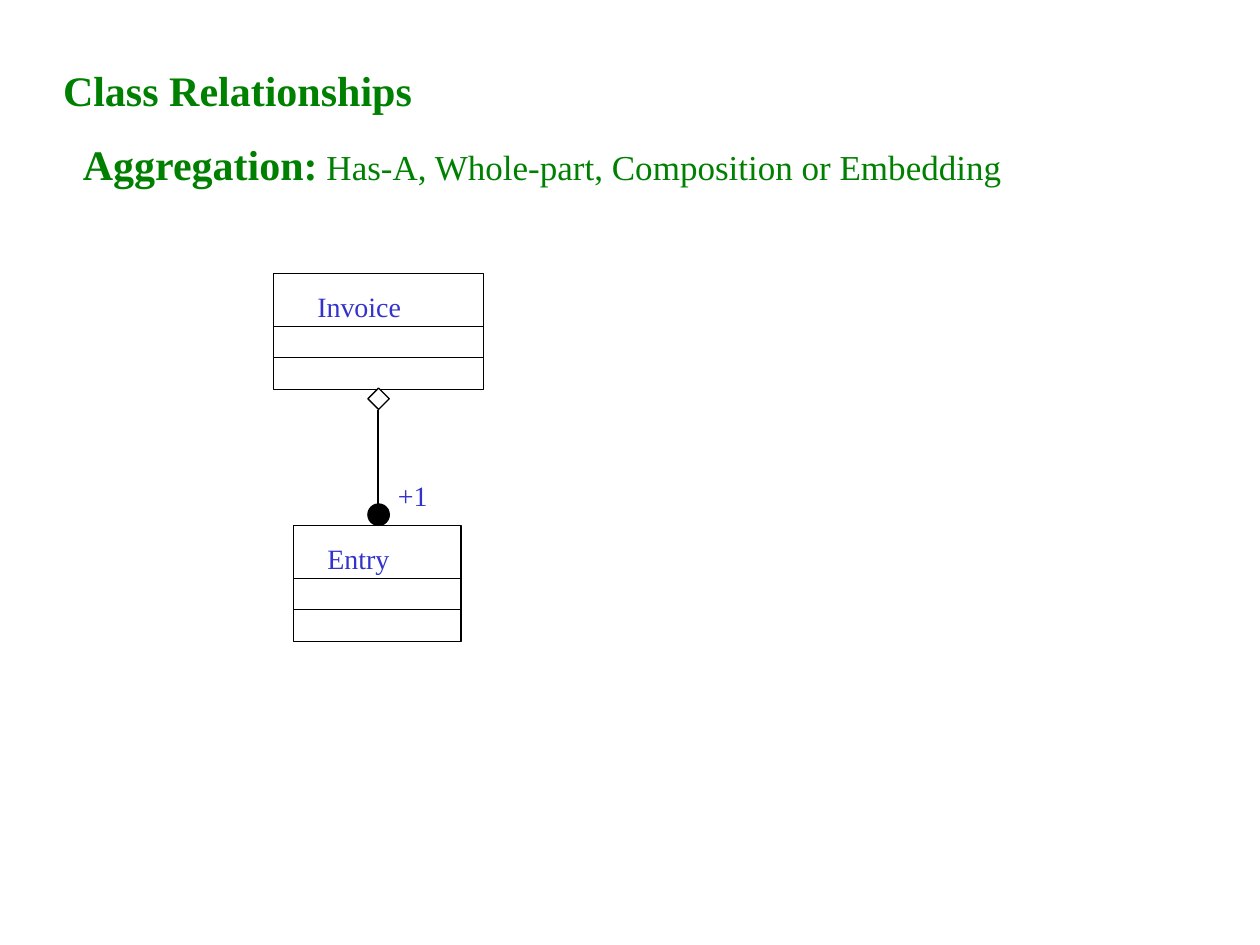
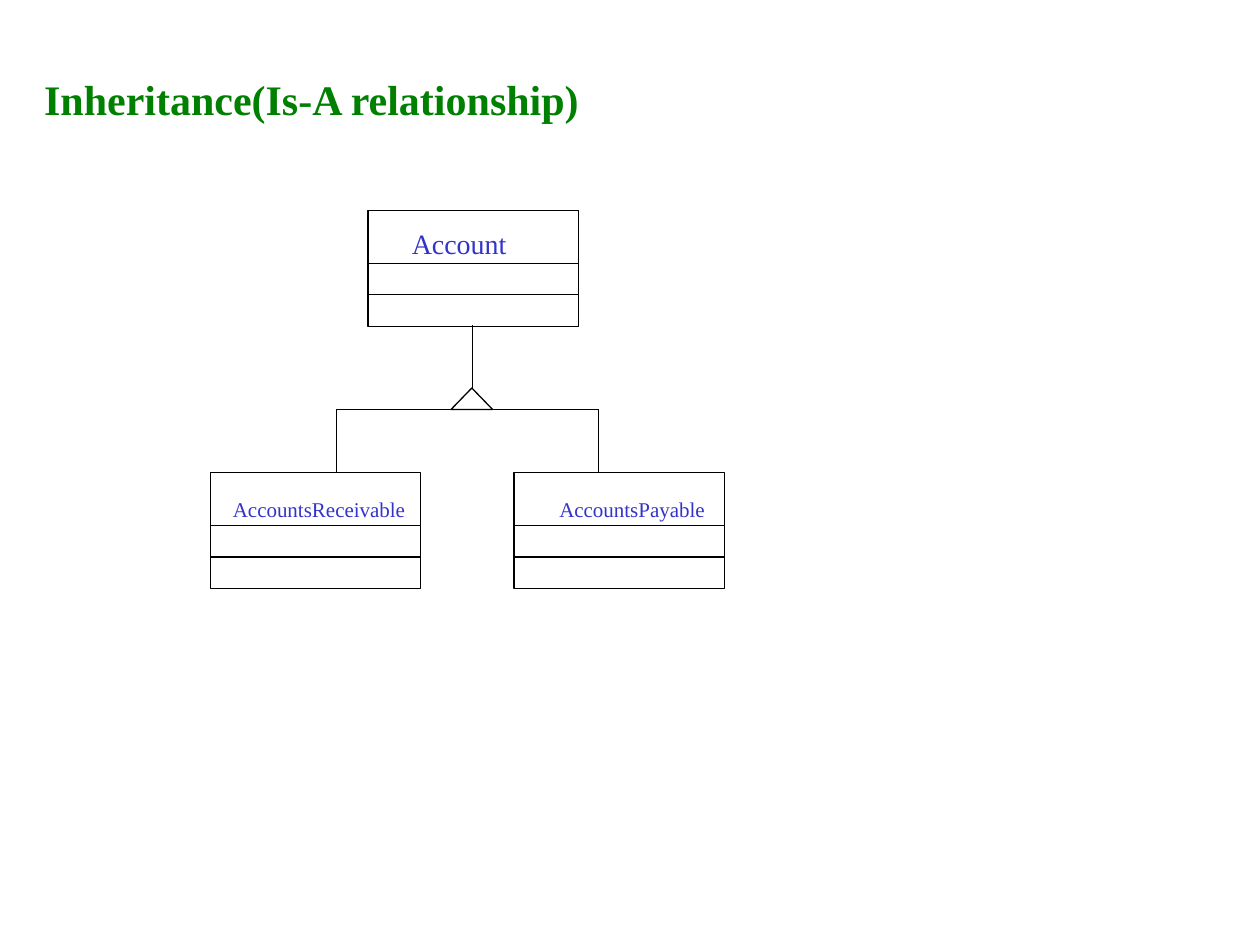
import pptx
import pptx.util
import pptx.dml.color
import pptx.enum.shapes
import pptx.enum.text
import pptx.oxml.xmlchemy

Inches, Pt = pptx.util.Inches, pptx.util.Pt
Shapes = pptx.enum.shapes.MSO_SHAPE

FONT = "Times New Roman"
GREEN, BLUE, BLACK, WHITE = "008000", "3333CC", "000000", "FFFFFF"
CLASS_HEIGHT = 0.92
DIVIDERS = (0.42, 0.67)

# left, top, width of the class box; then name, size, and the label's place and size
DIAGRAMS = [
    {
        "title": ("Class Relationships", 0.4, 0.46, 2.97),
        "subtitle": [("Aggregation:", 24, True),
                     (" Has-A, Whole-part, Composition or Embedding", 20, False)],
        "classes": [
            (2.17, 2.17, 1.67, "Invoice", 16, (2.42, 2.25, 0.86, 0.37)),
            (2.33, 4.17, 1.33, "Entry", 16, (2.5, 4.25, 0.69, 0.37)),
        ],
        "lines": [(3, 3.25, 3, 4)],
        "symbols": [(Shapes.DIAMOND, 2.92, 3.08, 0.17, 0.17, WHITE),
                    (Shapes.OVAL, 2.92, 4, 0.17, 0.17, BLACK)],
        "multiplicity": ("+1", 16, (3.06, 3.75, 0.43, 0.37)),
    },
    {
        "title": ("Inheritance(Is-A relationship)", 0.25, 0.53, 4.47),
        "classes": [
            (2.92, 1.67, 1.67, "Account", 16, (3.17, 1.75, 0.95, 0.37)),
            (1.67, 3.75, 1.67, "AccountsReceivable", 12, (1.75, 3.89, 1.57, 0.3)),
            (4.08, 3.75, 1.67, "AccountsPayable", 12, (4.34, 3.89, 1.35, 0.3)),
        ],
        "lines": [(3.75, 3.08, 3.75, 2.58), (2.67, 3.25, 4.75, 3.25),
                  (2.67, 3.25, 2.67, 3.75), (4.75, 3.25, 4.75, 3.75)],
        "symbols": [(Shapes.ISOSCELES_TRIANGLE, 3.58, 3.08, 0.33, 0.17, WHITE)],
    },
]


def color(value):
    """Turn a hex string into a colour."""
    return pptx.dml.color.RGBColor.from_string(value)


def style_font(font, size, value, bold=False):
    """Give a font the shared face with a size, colour and weight."""
    font.name, font.size, font.bold = FONT, Pt(size), bold
    font.color.rgb = color(value)


def prepare_frame(shape):
    """Make a text frame start at its top left without wrapping."""
    frame = shape.text_frame
    frame.word_wrap = False
    frame.auto_size = pptx.enum.text.MSO_AUTO_SIZE.NONE
    frame.vertical_anchor = pptx.enum.text.MSO_ANCHOR.TOP
    paragraph = frame.paragraphs[0]
    paragraph.alignment = pptx.enum.text.PP_ALIGN.LEFT
    return paragraph


def add_title(slide, text, left, top, width):
    """Place and format the title placeholder."""
    title = slide.shapes.title
    title.left, title.top = Inches(left), Inches(top)
    title.width, title.height = Inches(width), Inches(0.5)
    paragraph = prepare_frame(title)
    paragraph.text = text
    style_font(paragraph.font, 24, GREEN, True)


def add_subtitle(slide, parts):
    """Add the green line of mixed weights below the title."""
    box = slide.shapes.add_textbox(*map(Inches, (0.56, 1.05, 7.5, 0.5)))
    paragraph = prepare_frame(box)
    for text, size, bold in parts:
        run = paragraph.add_run()
        run.text = text
        style_font(run.font, size, GREEN, bold)


def add_label(slide, text, size, place):
    """Add a blue label."""
    paragraph = prepare_frame(slide.shapes.add_textbox(*map(Inches, place)))
    paragraph.text = text
    style_font(paragraph.font, size, BLUE)


def add_outlined(slide, kind, left, top, width, height, fill):
    """Add a filled shape with a thin black outline."""
    shape = slide.shapes.add_shape(kind, *map(Inches, (left, top, width, height)))
    shape.shadow.inherit = False
    shape.fill.solid()
    shape.fill.fore_color.rgb = color(fill)
    shape.line.color.rgb = color(BLACK)
    shape.line.width = Pt(0.75)


def add_line(slide, *ends):
    """Add a thin black line between two points."""
    line = slide.shapes.add_connector(
        pptx.enum.shapes.MSO_CONNECTOR.STRAIGHT, *map(Inches, ends))
    line.line.color.rgb = color(BLACK)
    line.line.width = Pt(0.75)
    effects = pptx.oxml.xmlchemy.OxmlElement("a:effectLst")
    line._element.spPr.append(effects)


def add_class(slide, left, top, width, name, size, place):
    """Add a class box with its two dividers and its name."""
    add_outlined(slide, Shapes.RECTANGLE, left, top, width, CLASS_HEIGHT, WHITE)
    for offset in DIVIDERS:
        add_line(slide, left, top + offset, left + width, top + offset)
    add_label(slide, name, size, place)


def main():
    """Build and save the presentation."""
    presentation = pptx.Presentation()
    presentation.slide_width, presentation.slide_height = Inches(10), Inches(7.5)
    for diagram in DIAGRAMS:
        slide = presentation.slides.add_slide(presentation.slide_layouts[5])
        add_title(slide, *diagram["title"])
        if "subtitle" in diagram:
            add_subtitle(slide, diagram["subtitle"])
        for class_box in diagram["classes"]:
            add_class(slide, *class_box)
        for ends in diagram["lines"]:
            add_line(slide, *ends)
        for symbol in diagram["symbols"]:
            add_outlined(slide, *symbol)
        if "multiplicity" in diagram:
            add_label(slide, *diagram["multiplicity"])
    presentation.save("out.pptx")


if __name__ == "__main__":
    main()
